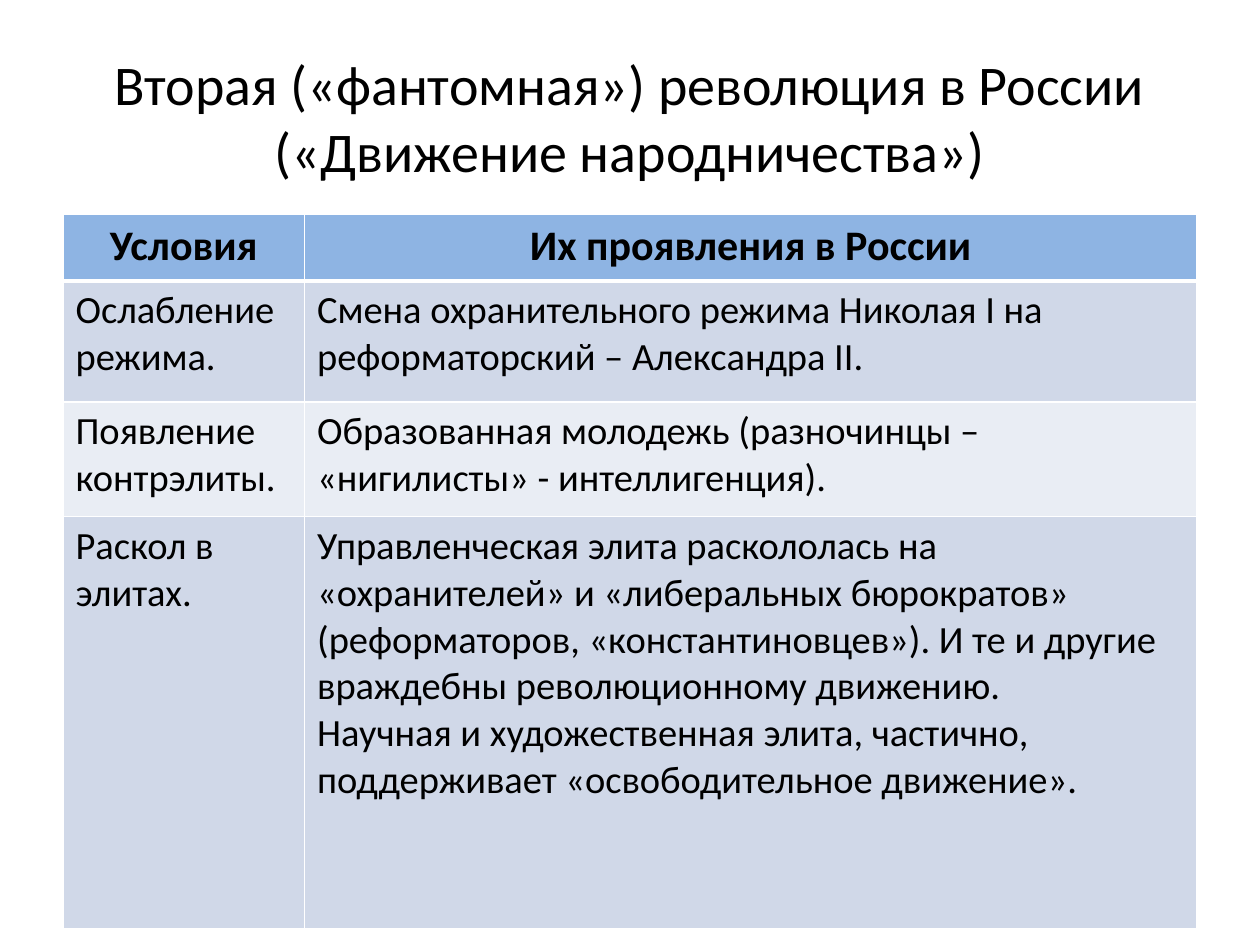
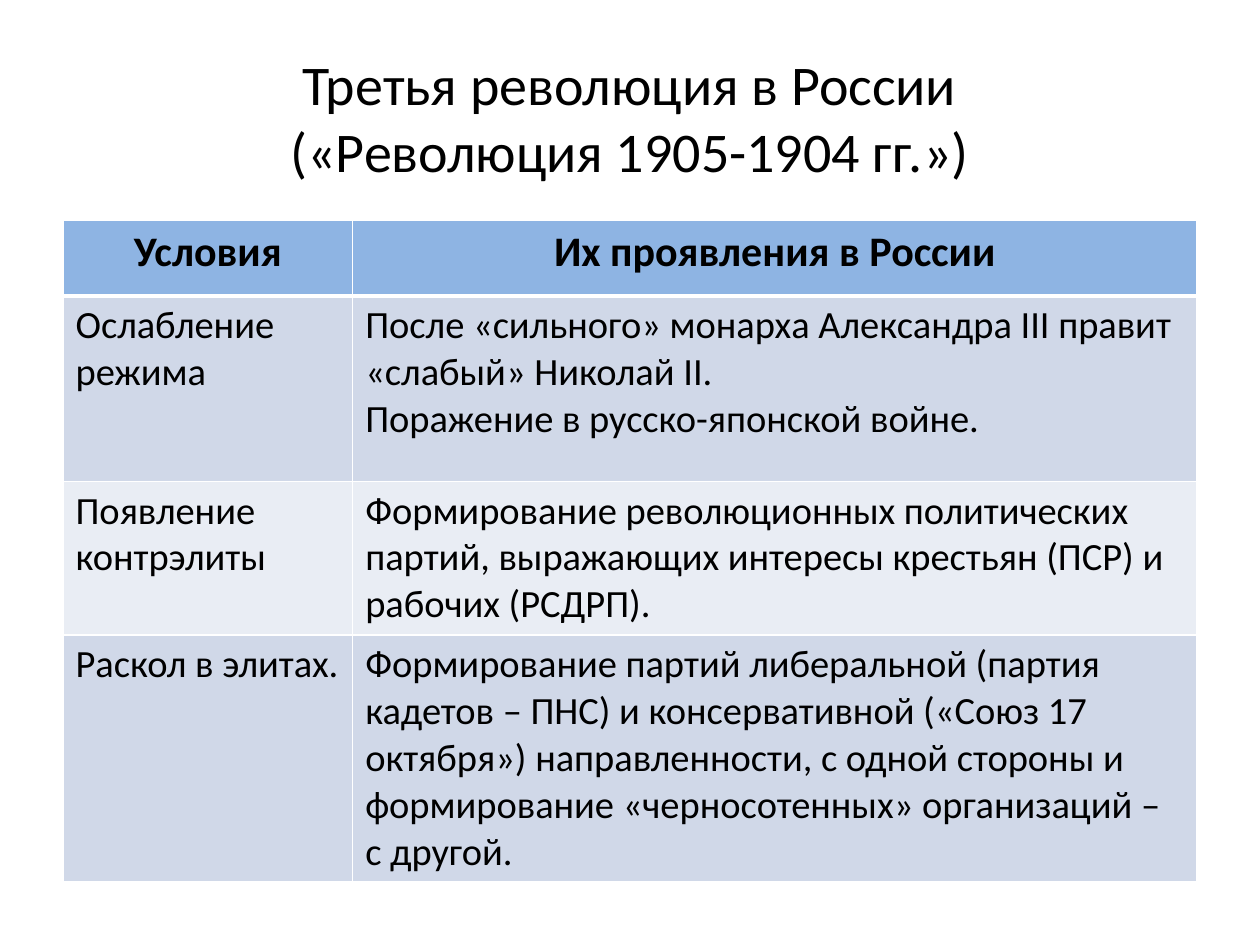
from dataclasses import dataclass

from lxml.etree import SubElement
from pptx import Presentation
from pptx.dml.color import RGBColor
from pptx.enum.text import MSO_ANCHOR, PP_ALIGN as Align
from pptx.oxml.ns import qn
from pptx.util import Inches, Pt

# Shared look
SLIDE_W, SLIDE_H = Inches(10), Inches(7.5)
MARGIN = 0.05  # share of the slide's width
CONTENT_W = 1 - 2 * MARGIN
TITLE_TOP, TITLE_H = 0.04, 1 / 6  # shares of the slide's height
FONT = "Calibri"
INK, RULE, HEADER_FILL = "000000", "FFFFFF", "8EB4E3"
BAND_FILLS = ("D0D8E8", "E9EDF4")
TITLE_SIZE, HEADER_SIZE, BODY_SIZE = 32, 24, 22
THIN, THICK = 1, 3
HEADINGS = ("Условия", ("Их проявления в России",))


@dataclass(frozen=True)
class Condition:
    name: str
    signs: tuple[str, ...]


@dataclass(frozen=True)
class Revolution:
    title: tuple[str, ...]  # lines
    top: float  # inches
    name_share: float  # first column's share of the table's width
    row_heights: tuple[float, ...]  # inches
    conditions: tuple[Condition, ...]


# Content
REVOLUTIONS = (
    Revolution(
        ("Вторая («фантомная») революция в России («Движение народничества»)",),
        1.7, 0.213, (0.53, 0.96, 0.91, 3.27),
        (
            Condition("Ослабление режима.", (
                "Смена охранительного режима Николая I на реформаторский – Александра II.",)),
            Condition("Появление контрэлиты.", (
                "Образованная молодежь (разночинцы – «нигилисты» - интеллигенция).",)),
            Condition("Раскол в элитах.", (
                "Управленческая элита раскололась на «охранителей» и «либеральных "
                "бюрократов» (реформаторов, «константиновцев»). И те и другие "
                "враждебны революционному движению.",
                "Научная и художественная элита, частично, поддерживает "
                "«освободительное движение».")),
        ),
    ),
    Revolution(
        ("Третья революция в России", "(«Революция 1905-1904 гг.»)"),
        1.75, 0.2555, (0.6, 1.47, 1.22, 1.95),
        (
            Condition("Ослабление режима", (
                "После «сильного» монарха Александра III правит «слабый» Николай II.",
                "Поражение в русско-японской войне.")),
            Condition("Появление контрэлиты", (
                "Формирование революционных политических партий, выражающих "
                "интересы крестьян (ПСР) и рабочих (РСДРП).",)),
            Condition("Раскол в элитах.", (
                "Формирование партий либеральной (партия кадетов – ПНС) и "
                "консервативной («Союз 17 октября») направленности, с одной стороны "
                "и формирование «черносотенных» организаций – с другой.",)),
        ),
    ),
)


def color(hex_code: str) -> RGBColor:
    return RGBColor.from_string(hex_code)


def add_run(paragraph, text: str, size: float, bold: bool = False) -> None:
    run = paragraph.add_run()
    run.text = text
    run.font.name, run.font.size, run.font.bold = FONT, Pt(size), bold
    run.font.color.rgb = color(INK)


def add_title(slide, lines: tuple[str, ...]) -> None:
    title = slide.shapes.title
    title.left, title.top = int(SLIDE_W * MARGIN), int(SLIDE_H * TITLE_TOP)
    title.width, title.height = int(SLIDE_W * CONTENT_W), int(SLIDE_H * TITLE_H)
    title.text_frame.vertical_anchor = MSO_ANCHOR.MIDDLE
    heading = title.text_frame.paragraphs[0]
    heading.alignment = Align.CENTER
    for index, line in enumerate(lines):
        if index:
            heading.add_line_break()
        add_run(heading, line, TITLE_SIZE)


def set_borders(cell, top: float, bottom: float) -> None:
    properties = cell._tc.get_or_add_tcPr()
    for edge, width in (("L", THIN), ("R", THIN), ("T", top), ("B", bottom)):
        line = SubElement(properties, qn(f"a:ln{edge}"), w=str(Pt(width)))
        fill = SubElement(line, qn("a:solidFill"))
        SubElement(fill, qn("a:srgbClr"), val=RULE)


def fill_cell(cell, texts: tuple[str, ...], row: int) -> None:
    is_header = row == 0
    # The heavy rule lies between the header and the first condition
    set_borders(cell, THICK if row == 1 else THIN, THICK if is_header else THIN)
    cell.fill.solid()
    cell.fill.fore_color.rgb = color(HEADER_FILL if is_header else BAND_FILLS[(row - 1) % 2])
    frame = cell.text_frame
    for index, text in enumerate(texts):
        paragraph = frame.add_paragraph() if index else frame.paragraphs[0]
        paragraph.alignment = Align.CENTER if is_header else Align.LEFT
        add_run(paragraph, text, HEADER_SIZE if is_header else BODY_SIZE, is_header)


def add_conditions(slide, revolution: Revolution) -> None:
    rows = (Condition(*HEADINGS), *revolution.conditions)
    width = int(SLIDE_W * CONTENT_W)
    table = slide.shapes.add_table(
        len(rows), 2, int(SLIDE_W * MARGIN), Inches(revolution.top),
        width, Inches(sum(revolution.row_heights))).table
    table.horz_banding = False
    table.columns[0].width = int(width * revolution.name_share)
    table.columns[1].width = width - table.columns[0].width
    for row, (condition, height) in enumerate(zip(rows, revolution.row_heights)):
        table.rows[row].height = Inches(height)
        fill_cell(table.cell(row, 0), (condition.name,), row)
        fill_cell(table.cell(row, 1), condition.signs, row)


def main() -> None:
    deck = Presentation()
    deck.slide_width, deck.slide_height = SLIDE_W, SLIDE_H
    title_only = deck.slide_layouts[5]
    for revolution in REVOLUTIONS:
        slide = deck.slides.add_slide(title_only)
        add_title(slide, revolution.title)
        add_conditions(slide, revolution)
    deck.save("out.pptx")


if __name__ == "__main__":
    main()
